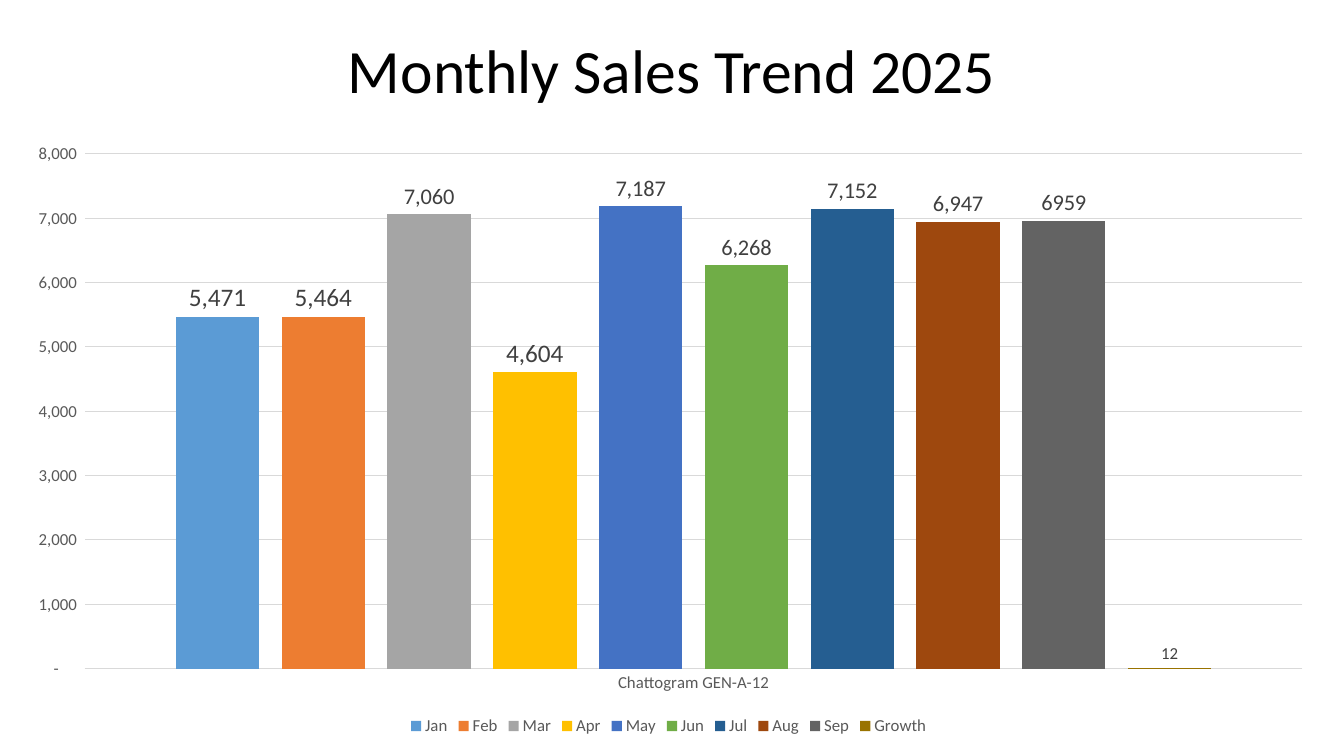
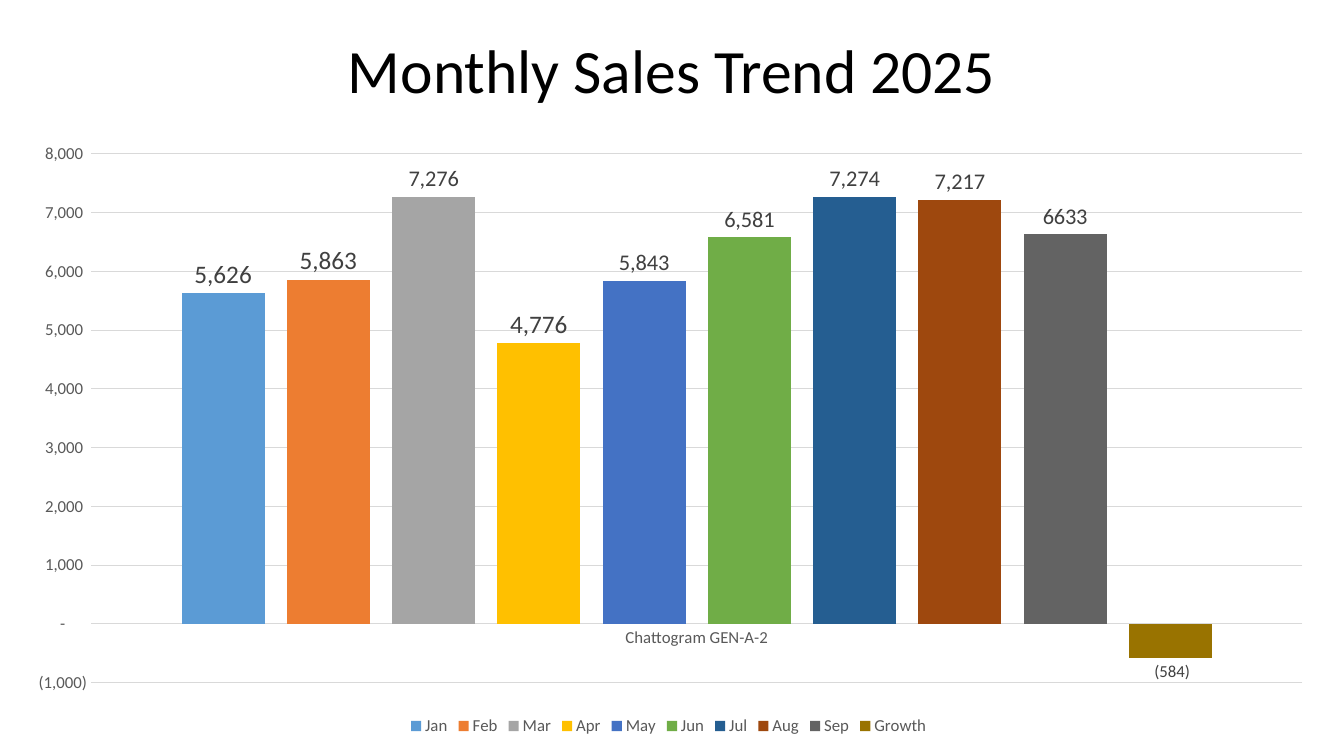
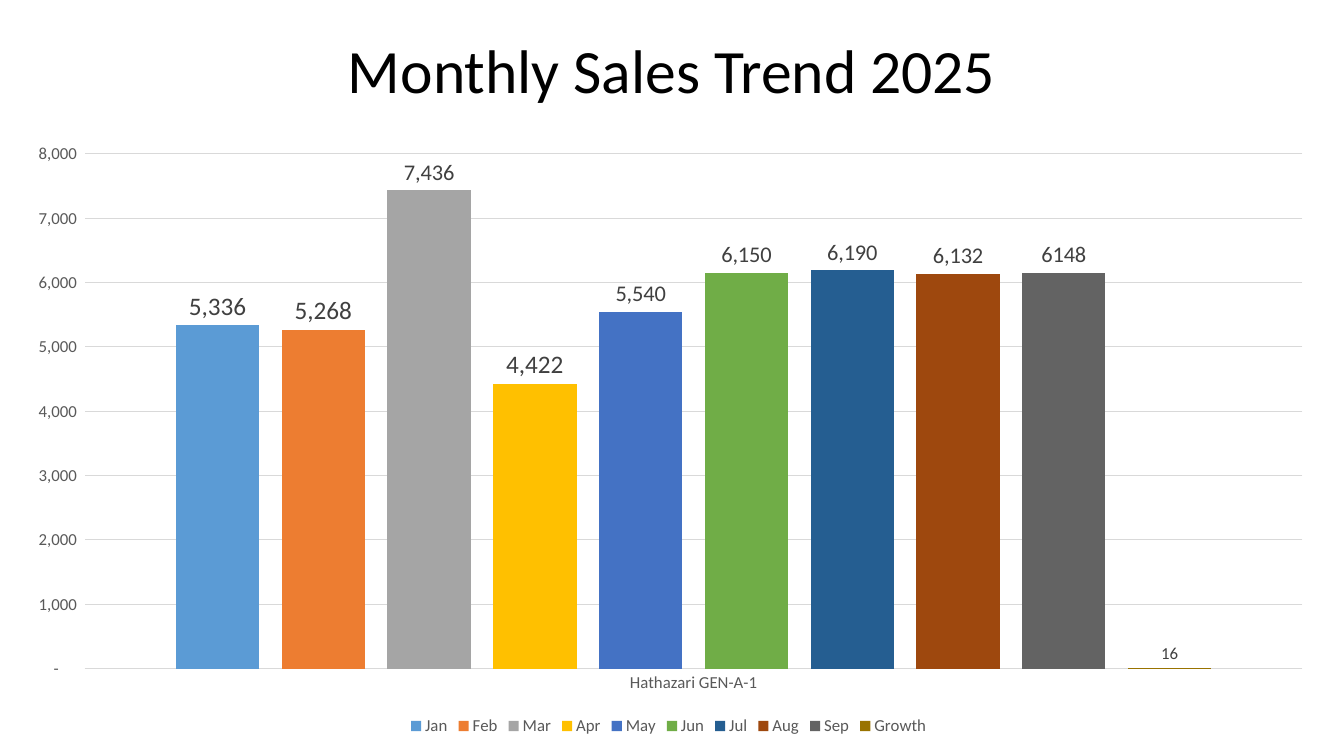
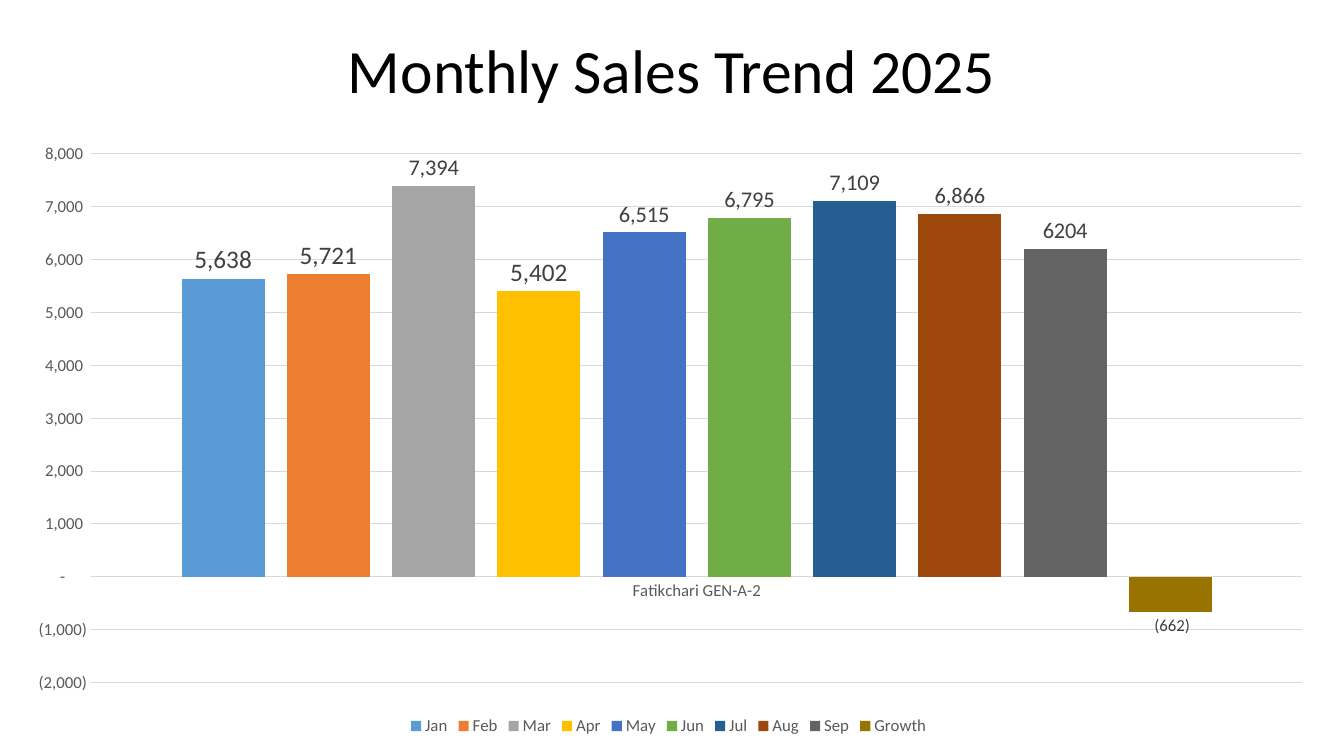
"""Build four slides of monthly sales charts, one per territory."""
from pptx import Presentation
from pptx.chart.data import CategoryChartData
from pptx.dml.color import RGBColor
from pptx.enum.chart import XL_CHART_TYPE, XL_LABEL_POSITION, XL_LEGEND_POSITION, XL_TICK_MARK
from pptx.enum.text import MSO_ANCHOR, PP_ALIGN
from pptx.util import Inches, Pt

CLUSTERED = XL_CHART_TYPE.COLUMN_CLUSTERED
OUTSIDE_END = XL_LABEL_POSITION.OUTSIDE_END
BOTTOM = XL_LEGEND_POSITION.BOTTOM
NO_TICK = XL_TICK_MARK.NONE
MIDDLE = MSO_ANCHOR.MIDDLE
CENTER = PP_ALIGN.CENTER

TITLE = "Monthly Sales Trend 2025"
BLACK, AXIS_TEXT, LABEL_TEXT, GRID_LINE = "000000", "595959", "404040", "D9D9D9"
ACCOUNTING = r'_(* #,##0_);_(* \(#,##0\);_(* "-"??_);_('

SERIES = [
    ("Jan", "5B9BD5", 18, ACCOUNTING),
    ("Feb", "ED7D31", 18, ACCOUNTING),
    ("Mar", "A5A5A5", 16, ACCOUNTING),
    ("Apr", "FFC000", 18, ACCOUNTING),
    ("May", "4472C4", 16, ACCOUNTING),
    ("Jun", "70AD47", 16, ACCOUNTING),
    ("Jul", "255E91", 16, ACCOUNTING),
    ("Aug", "9E480E", 16, ACCOUNTING),
    ("Sep", "636363", 16, "0"),
    ("Growth", "997300", 12, ACCOUNTING),
]

TERRITORIES = {
    "Chattogram GEN-A-12": [5471, 5464, 7060, 4604, 7187, 6268, 7152, 6947, 6959, 12],
    "Chattogram GEN-A-2": [5626, 5863, 7276, 4776, 5843, 6581, 7274, 7217, 6633, -584],
    "Hathazari GEN-A-1": [5336, 5268, 7436, 4422, 5540, 6150, 6190, 6132, 6148, 16],
    "Fatikchari GEN-A-2": [5638, 5721, 7394, 5402, 6515, 6795, 7109, 6866, 6204, -662],
}


def color(hex_string):
    """Turn a hex string into a colour."""
    return RGBColor.from_string(hex_string)


def set_font(font, size, hex_string):
    """Give a font the shared typeface, a size and a colour."""
    for name, value in {"name": "Calibri", "size": Pt(size)}.items():
        setattr(font, name, value)
    font.color.rgb = color(hex_string)


presentation = Presentation()
presentation.slide_width = Inches(13.33)
presentation.slide_height = Inches(7.5)
column = presentation.slide_width / 160
row = presentation.slide_height / 90
title_box = [int(n) for n in (11 * column, 1.8 * row, 138 * column, 13.9 * row)]
chart_box = [int(n) for n in (column, 15.7 * row, 157.2 * column, 72.4 * row)]

for territory, sales in TERRITORIES.items():
    slide = presentation.slides.add_slide(presentation.slide_layouts[6])

    title_frame = slide.shapes.add_textbox(*title_box).text_frame
    title_frame.word_wrap = True
    title_frame.vertical_anchor = MIDDLE
    paragraph = title_frame.paragraphs[0]
    for name, value in {"text": TITLE, "alignment": CENTER, "line_spacing": 0.9}.items():
        setattr(paragraph, name, value)
    set_font(paragraph.runs[0].font, 44, BLACK)

    chart_data = CategoryChartData()
    chart_data.categories = [territory]
    for (month, *_), value in zip(SERIES, sales):
        chart_data.add_series(month, [value])
    chart = slide.shapes.add_chart(CLUSTERED, *chart_box, chart_data).chart
    chart.has_title = False
    set_font(chart.font, 10, BLACK)

    chart.has_legend = True
    chart.legend.position = BOTTOM
    chart.legend.include_in_layout = False
    set_font(chart.legend.font, 12, AXIS_TEXT)

    for axis in (chart.category_axis, chart.value_axis):
        axis.major_tick_mark = axis.minor_tick_mark = NO_TICK
        set_font(axis.tick_labels.font, 12, AXIS_TEXT)
    chart.value_axis.format.line.fill.background()
    chart.value_axis.tick_labels.number_format = ACCOUNTING
    chart.value_axis.tick_labels.number_format_is_linked = False
    for line in (chart.category_axis.format.line, chart.value_axis.major_gridlines.format.line):
        line.color.rgb = color(GRID_LINE)
        line.width = Pt(0.75)

    plot = chart.plots[0]
    for name, value in {"gap_width": 219, "overlap": -27, "vary_by_categories": False}.items():
        setattr(plot, name, value)
    for series, (month, fill, label_size, number_format) in zip(plot.series, SERIES):
        series.invert_if_negative = False
        series.format.fill.solid()
        series.format.fill.fore_color.rgb = color(fill)
        labels = series.data_labels
        label_format = {
            "show_value": True,
            "position": OUTSIDE_END,
            "number_format": number_format,
            "number_format_is_linked": False,
        }
        for name, value in label_format.items():
            setattr(labels, name, value)
        set_font(labels.font, label_size, LABEL_TEXT)

presentation.save("out.pptx")
